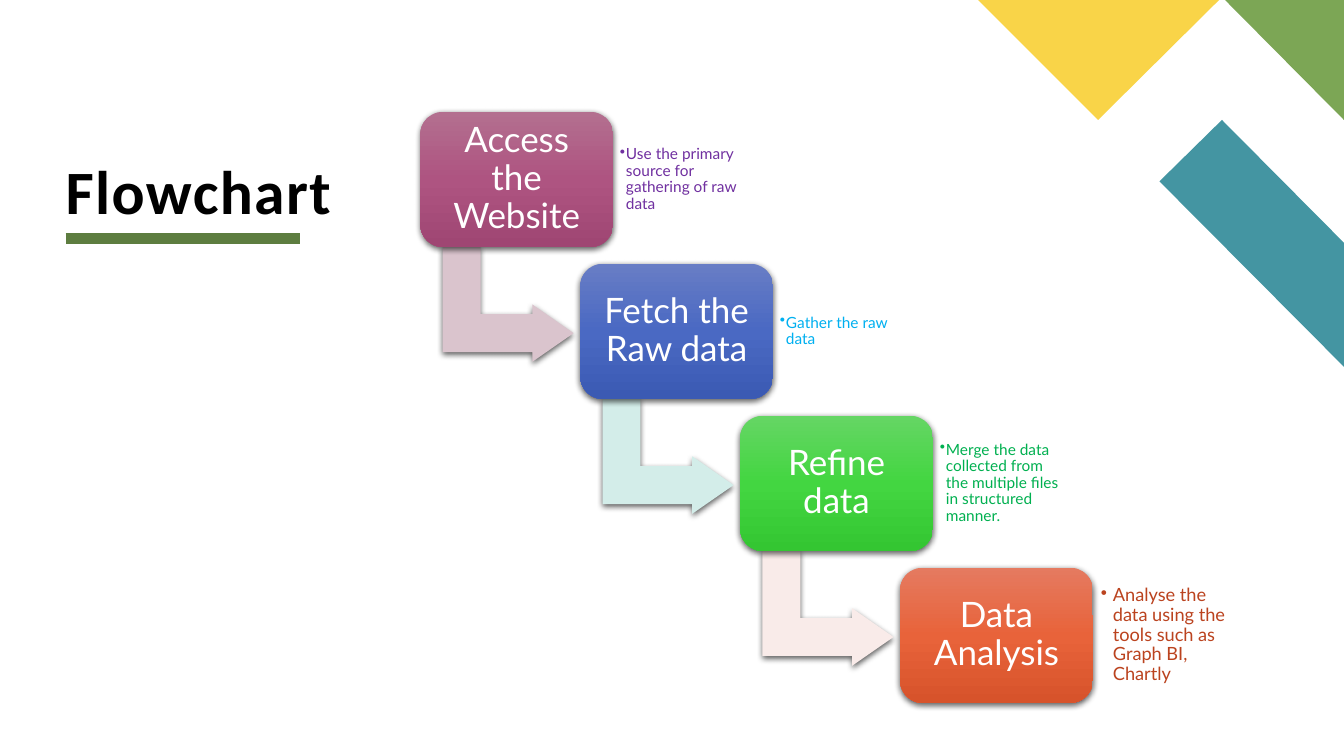
import dataclasses
import copy
import typing

import lxml.etree
import pptx
import pptx.dml.color
import pptx.dml.fill
import pptx.enum.shapes
import pptx.enum.text
import pptx.oxml.ns
import pptx.shapes.autoshape
import pptx.slide
import pptx.text.text
import pptx.util

SLIDE_WIDTH = pptx.util.Inches(13.33)
SLIDE_HEIGHT = pptx.util.Inches(7.5)
FIRST_LEFT, FIRST_TOP = 31.28, 14.8
STEP_ACROSS, STEP_DOWN = 11.9, 20.1
MARGIN_LEFT = 4.88


@dataclasses.dataclass(frozen=True)
class Step:
    label: str
    gradient: tuple[str, str, str]
    note: str
    note_color: str
    arrow_color: typing.Optional[str] = None
    note_size: int = 11
    note_inset: float = 0.06
    note_indent: float = 0.06


@dataclasses.dataclass(frozen=True)
class Ornament:
    color: str
    corners: tuple[tuple[float, float], ...]


STEPS = (
    Step("Access the Website", ("B36F8F", "AE5481", "9F4673"),
         "Use the primary source for gathering of raw data", "7030A0", "DAC4CD"),
    Step("Fetch the Raw data", ("687DC5", "4A69C3", "3B5AB3"),
         "Gather the raw data", "00B0F0", "D3EDE9"),
    Step("Refine data", ("65D664", "43D641", "34C632"),
         "Merge the data collected from the multiple files in structured manner.",
         "00B050", "F9EBE9"),
    Step("Data Analysis", ("E57A60", "E8633A", "D7532B"),
         "Analyse the data using the tools such as Graph BI, Chartly", "BB431F",
         note_size=13, note_inset=0.07, note_indent=0.12),
)

ORNAMENTS = (
    Ornament("4495A2", ((100, 48.53), (100, 32.13), (90.92, 15.87), (86.27, 24))),
    Ornament("7CA655", ((100, 15.87), (100, 0), (91.15, 0))),
    Ornament("F9D448", ((72.77, 0), (81.7, 15.87), (90.7, 0))),
)


def across(percent: float) -> int:
    """Turn a percentage of the slide's width into a length."""
    return round(SLIDE_WIDTH * percent / 100)


def down(percent: float) -> int:
    """Turn a percentage of the slide's height into a length."""
    return round(SLIDE_HEIGHT * percent / 100)


def frame(left: float, top: float, width: float, height: float) -> tuple[int, int, int, int]:
    """Turn four percentages into a position and a size."""
    return across(left), down(top), across(width), down(height)


def rgb(color: str) -> pptx.dml.color.RGBColor:
    """Read a colour from its hex string."""
    return pptx.dml.color.RGBColor.from_string(color)


def paint(fill: pptx.dml.fill.FillFormat, color: str) -> None:
    """Make a fill solid in one colour."""
    fill.solid()
    fill.fore_color.rgb = rgb(color)


def write(text_frame: pptx.text.text.TextFrame, text: str, font: str, size: int,
          color: str, inset: float, line_spacing: float) -> pptx.text.text._Paragraph:
    """Fill a text frame with one formatted, wrapped paragraph."""
    text_frame.text = text
    text_frame.word_wrap = True
    text_frame.vertical_anchor = pptx.enum.text.MSO_ANCHOR.MIDDLE
    text_frame.margin_left = text_frame.margin_right = pptx.util.Inches(inset)
    text_frame.margin_top = text_frame.margin_bottom = pptx.util.Inches(inset)
    paragraph = text_frame.paragraphs[0]
    paragraph.line_spacing = line_spacing
    run_font = paragraph.runs[0].font
    run_font.name = font
    run_font.size = pptx.util.Pt(size)
    run_font.color.rgb = rgb(color)
    return paragraph


def cast_shadow(shape: pptx.shapes.autoshape.Shape) -> None:
    """Give a shape a soft shadow straight below it."""
    shape.shadow.inherit = False
    effects = shape._element.spPr.find(pptx.oxml.ns.qn("a:effectLst"))
    shadow = lxml.etree.SubElement(
        effects, pptx.oxml.ns.qn("a:outerShdw"), blurRad=str(pptx.util.Pt(4.5)),
        dist=str(pptx.util.Pt(1.5)), dir="5400000", algn="ctr", rotWithShape="0")
    tint = lxml.etree.SubElement(shadow, pptx.oxml.ns.qn("a:srgbClr"), val="000000")
    lxml.etree.SubElement(tint, pptx.oxml.ns.qn("a:alpha"), val="63000")


def draw_ornament(slide: pptx.slide.Slide, ornament: Ornament) -> None:
    """Draw one coloured corner piece."""
    points = [(across(x), down(y)) for x, y in ornament.corners]
    builder = slide.shapes.build_freeform(*points[0])
    builder.add_line_segments(points[1:], close=True)
    piece = builder.convert_to_shape()
    piece.shadow.inherit = False
    paint(piece.fill, ornament.color)
    piece.line.fill.background()


def draw_heading(slide: pptx.slide.Slide) -> None:
    """Draw the heading and its underline."""
    heading = slide.shapes.add_textbox(*frame(MARGIN_LEFT, 7.07, 90, 22.93))
    paragraph = write(heading.text_frame, "Flowchart", "Calibri", 44, "000000", 0, 0.8)
    heading.text_frame.vertical_anchor = pptx.enum.text.MSO_ANCHOR.BOTTOM
    paragraph.runs[0].font.bold = True
    paragraph.runs[0]._r.get_or_add_rPr().set("spc", "100")
    underline = slide.shapes.add_connector(
        pptx.enum.shapes.MSO_CONNECTOR.STRAIGHT,
        across(MARGIN_LEFT), down(31.5), across(22.36), down(31.5))
    underline.line.color.rgb = rgb("5D7D40")
    underline.line.width = pptx.util.Pt(8)
    lxml.etree.SubElement(underline._element.spPr, pptx.oxml.ns.qn("a:effectLst"))


def draw_arrow(slide: pptx.slide.Slide, left: float, top: float, color: str) -> None:
    """Draw the bent arrow that leads from a step to the next."""
    arrow = slide.shapes.add_shape(
        pptx.enum.shapes.MSO_SHAPE.BENT_UP_ARROW,
        *frame(left + 2.25, top + 16.8, 8.55, 17.33))
    arrow.rotation = 90
    for index, share in enumerate((0.33, 0.25, 0.36)):
        arrow.adjustments[index] = share
    paint(arrow.fill, color)
    arrow.line.fill.background()
    cast_shadow(arrow)


def draw_box(slide: pptx.slide.Slide, left: float, top: float, step: Step) -> None:
    """Draw the rounded box that names a step."""
    box = slide.shapes.add_shape(
        pptx.enum.shapes.MSO_SHAPE.ROUNDED_RECTANGLE, *frame(left, top, 14.33, 17.87))
    box.fill.gradient()
    box.fill.gradient_angle = 270
    stop_list = box._element.spPr.find(".//" + pptx.oxml.ns.qn("a:gsLst"))
    stop_list.insert(1, copy.deepcopy(stop_list[0]))
    for stop, position, color in zip(box.fill.gradient_stops, (0, 0.5, 1), step.gradient):
        stop.position = position
        stop.color.rgb = rgb(color)
    box.line.fill.background()
    cast_shadow(box)
    paragraph = write(box.text_frame, step.label, "Lato", 25, "FFFFFF", 0.1, 0.9)
    paragraph.alignment = pptx.enum.text.PP_ALIGN.CENTER


def draw_note(slide: pptx.slide.Slide, left: float, top: float, step: Step) -> None:
    """Draw the bulleted note beside a step."""
    note = slide.shapes.add_textbox(*frame(left + 14.4, top + 1.73, 10.43, 14.4))
    paragraph = write(note.text_frame, step.note, "Lato", step.note_size,
                      step.note_color, step.note_inset, 0.9)
    properties = paragraph._p.get_or_add_pPr()
    indent = pptx.util.Inches(step.note_indent)
    properties.set("marL", str(indent))
    properties.set("indent", str(-indent))
    lxml.etree.SubElement(properties, pptx.oxml.ns.qn("a:buChar"), char="•")


def main() -> None:
    """Build the flowchart slide and save it."""
    presentation = pptx.Presentation()
    presentation.slide_width = SLIDE_WIDTH
    presentation.slide_height = SLIDE_HEIGHT
    slide = presentation.slides.add_slide(presentation.slide_layouts[6])
    for ornament in ORNAMENTS:
        draw_ornament(slide, ornament)
    draw_heading(slide)
    for index, step in enumerate(STEPS):
        left = FIRST_LEFT + index * STEP_ACROSS
        top = FIRST_TOP + index * STEP_DOWN
        if step.arrow_color:
            draw_arrow(slide, left, top, step.arrow_color)
        draw_box(slide, left, top, step)
        draw_note(slide, left, top, step)
    presentation.save("out.pptx")


if __name__ == "__main__":
    main()
